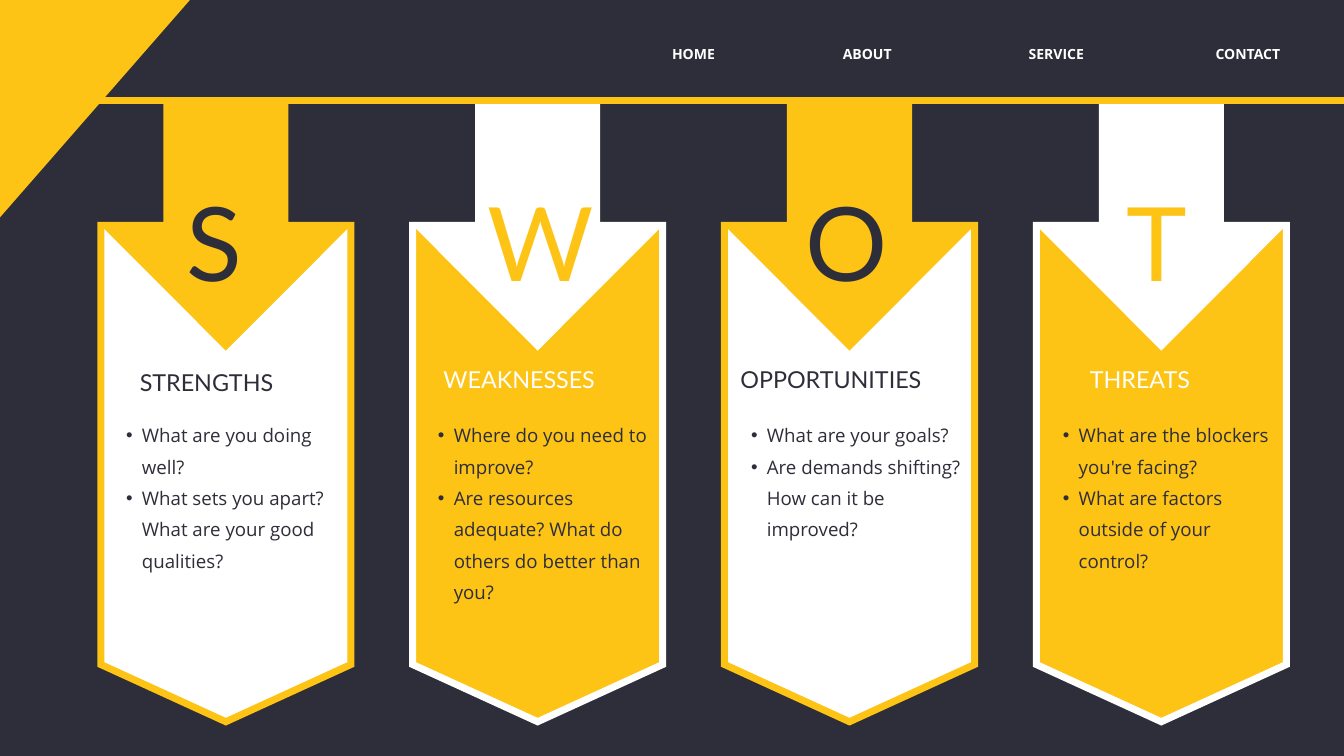
from pptx import Presentation
from pptx import util as u
from pptx.dml import color
from pptx.enum import shapes, text
from pptx.oxml import ns
from lxml import etree

Pt = u.Pt
COLORS = {"dark": "2E2E3A", "gold": "FDC315", "white": "FFFFFF"}
RGB = {name: color.RGBColor.from_string(value) for name, value in COLORS.items()}

FORMATS = {
    "nav": {"font": {"name": "Open Sans", "size": Pt(15), "bold": True},
            "para": {"alignment": text.PP_ALIGN.CENTER, "line_spacing": 1.4}},
    "letter": {"font": {"name": "Lato", "size": Pt(110)}, "para": {}},
    "heading": {"font": {"name": "Lato", "size": Pt(25)}, "para": {"line_spacing": 1.2}},
    "bullets": {"font": {"name": "Open Sans", "size": Pt(20)},
                "para": {"level": 1, "line_spacing": 1.4}},
}
FRAME = {"margin_left": 0, "margin_top": 0, "margin_right": 0, "margin_bottom": 0,
         "auto_size": text.MSO_AUTO_SIZE.SHAPE_TO_FIT_TEXT}

NAV = [("HOME", 720, 46), ("ABOUT", 902.9, 52.6), ("SERVICE", 1092.2, 79.2), ("CONTACT", 1288, 98)]

PANELS = [
    {"letter": ("S", 200.2, 79.2), "heading": ("STRENGTHS", 149.8, 388.8, 216), "bullets_left": 118.1,
     "bullets": ["What are you doing well?", "What sets you apart? What are your good qualities?"]},
    {"letter": ("W", 522.7, 108.7), "heading": ("WEAKNESSES", 475.2, 385.2, 201.6), "bullets_left": 452.2,
     "bullets": ["Where do you need to improve?",
                 "Are resources adequate? What do others do better than you?"]},
    {"letter": ("O", 862.6, 97.9), "heading": ("OPPORTUNITIES", 793.4, 385.2, 290.9), "bullets_left": 787.7,
     "bullets": ["What are your goals?", "Are demands shifting? How can it be improved?"]},
    {"letter": ("T", 1207.4, 97.9), "heading": ("THREATS", 1167.8, 385.2, 216), "bullets_left": 1121.8,
     "bullets": ["What are the blockers you're facing?", "What are factors outside of your control?"]},
]

LEFT, PITCH, WIDTH = 108, 334.1, 268
RULE, SHOULDER, ARROW_TIP, BANNER_FOOT, BANNER_TIP = 107.3, 241.4, 375.7, 712, 773.3

deck = Presentation()
deck.slide_width, deck.slide_height = Pt(1440), Pt(810)
page = deck.slides.add_slide(deck.slide_layouts[6])
page.background.fill.solid()
page.background.fill.fore_color.rgb = RGB["dark"]


def add_outline(points, fill, line=None):
    corners = [(Pt(x), Pt(y)) for x, y in points]
    builder = page.shapes.build_freeform(*corners[0])
    builder.add_line_segments(corners[1:], close=True)
    shape = builder.convert_to_shape()
    shape.shadow.inherit = False
    shape.fill.solid()
    shape.fill.fore_color.rgb = RGB[fill]
    if line:
        shape.line.color.rgb = RGB[line]
        shape.line.width = Pt(7.5)
        etree.SubElement(shape.line._get_or_add_ln(), ns.qn("a:miter"), lim="800000")
    else:
        shape.line.fill.background()


def add_text(lines, style, ink, left, top, width, height, wrap=True):
    box = page.shapes.add_textbox(Pt(left), Pt(top), Pt(width), Pt(height))
    frame = box.text_frame
    for name, value in FRAME.items():
        setattr(frame, name, value)
    frame.word_wrap = wrap
    for index, line in enumerate(lines):
        para = frame.add_paragraph() if index else frame.paragraphs[0]
        if style == "bullets":
            props = para._p.get_or_add_pPr()
            props.set("marL", str(Pt(34)))
            props.set("indent", str(Pt(-17)))
            tint = etree.SubElement(props, ns.qn("a:buClr"))
            etree.SubElement(tint, ns.qn("a:srgbClr"), val=COLORS[ink])
            etree.SubElement(props, ns.qn("a:buFont"), typeface="Arial")
            etree.SubElement(props, ns.qn("a:buChar"), char="•")
        for name, value in FORMATS[style]["para"].items():
            setattr(para, name, value)
        span = para.add_run()
        span.text = line
        for name, value in FORMATS[style]["font"].items():
            setattr(span.font, name, value)
        span.font.color.rgb = RGB[ink]


add_outline([(-2.9, 236.2), (211, -8.6), (-105.8, -72)], "gold")

lefts = [LEFT + PITCH * index for index in range(len(PANELS))]
for index, left in enumerate(lefts):
    right, middle = left + WIDTH, left + WIDTH / 2
    fill, line = ("gold", "white") if index % 2 else ("white", "gold")
    add_outline([(left, SHOULDER), (right, SHOULDER), (right, BANNER_FOOT),
                 (middle, BANNER_TIP), (left, BANNER_FOOT)], fill, line)

for index, left in enumerate(lefts):
    right, middle, stem = left + WIDTH, left + WIDTH / 2, WIDTH / 4
    add_outline([(middle, ARROW_TIP), (right, SHOULDER), (middle + stem, SHOULDER),
                 (middle + stem, RULE), (middle - stem, RULE), (middle - stem, SHOULDER),
                 (left, SHOULDER)], "white" if index % 2 else "gold")

rule = page.shapes.add_connector(shapes.MSO_CONNECTOR.STRAIGHT, 0, Pt(RULE), Pt(1440), Pt(RULE))
rule.line.color.rgb = RGB["gold"]
rule.line.width = Pt(7.5)
etree.SubElement(rule._element.spPr, ns.qn("a:effectLst"))

for label, left, width in NAV:
    add_text([label], "nav", "white", left, 41.8, width, 20, wrap=False)

for index, panel in enumerate(PANELS):
    letter, left, width = panel["letter"]
    add_text([letter], "letter", "gold" if index % 2 else "dark", left, 191.5, width, 116)
    heading, left, top, width = panel["heading"]
    add_text([heading], "heading", "white" if index % 2 else "dark", left, top, width, 31.7)
    add_text(panel["bullets"], "bullets", "dark", panel["bullets_left"], 445, 247.7, 166)

deck.save("out.pptx")
